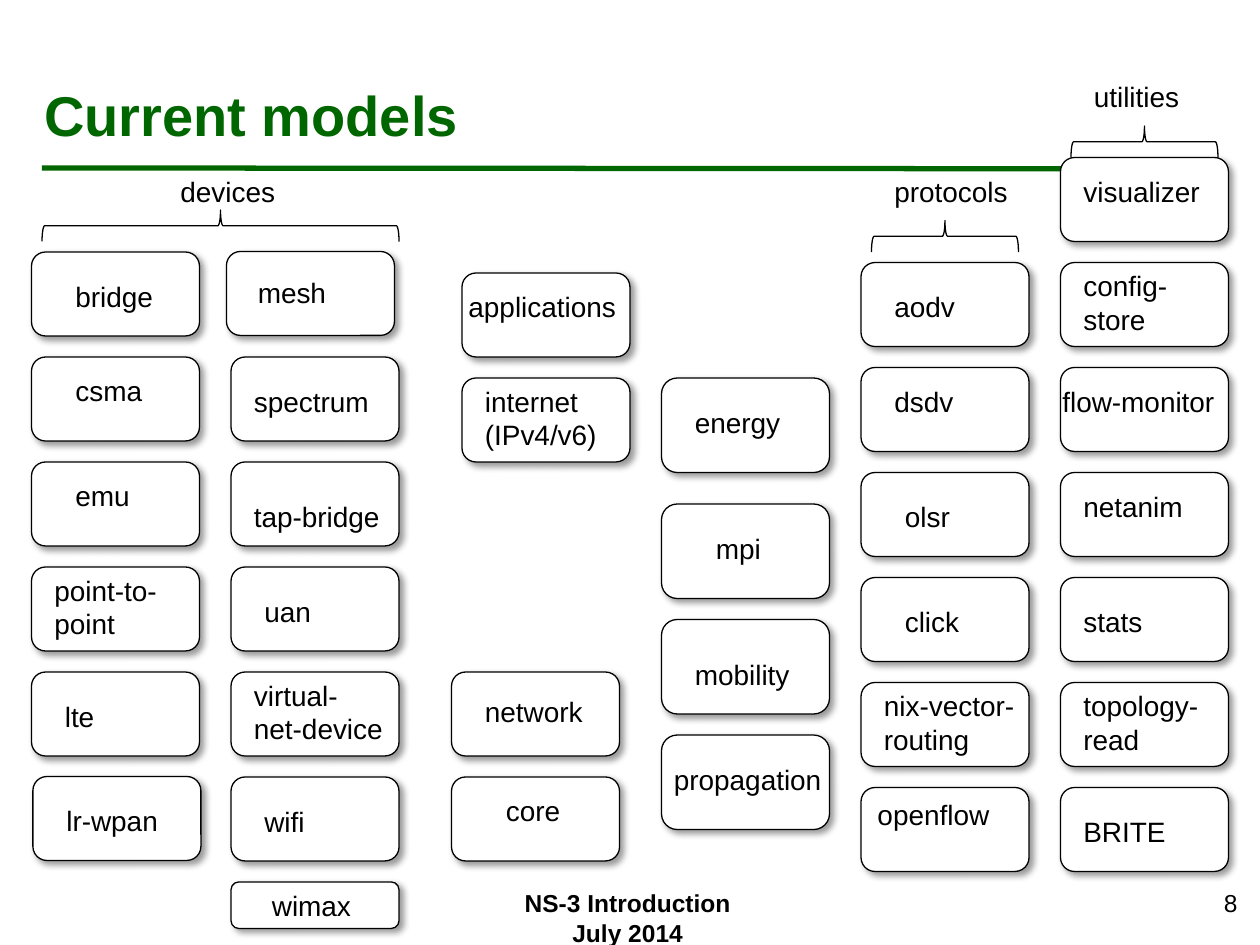
from dataclasses import dataclass

from lxml.etree import SubElement
from pptx import Presentation
from pptx.dml.color import RGBColor
from pptx.enum.shapes import MSO_CONNECTOR, MSO_SHAPE
from pptx.enum.text import MSO_ANCHOR, MSO_AUTO_SIZE, PP_ALIGN
from pptx.oxml.ns import qn
from pptx.util import Pt

COLORS = {"heading": "006600", "ink": "000000", "paper": "FFFFFF"}
FONT = "Arial"
BOX_WIDTH = 96
BRACE_DEPTH = 18
LINE_HEIGHT = 19.4


@dataclass(frozen=True)
class Model:
    """A named box; dx and dy place its label from the box's corner.

    Without a label width, the label is the box's own text.
    """
    label: str
    dx: float = 0
    dy: float = 0
    label_width: float = 0
    shift_x: float = 0
    shift_y: float = 0
    height: float = 0


@dataclass(frozen=True)
class Column:
    left: float
    top: float
    models: tuple[Model, ...]
    pitch: float = 60
    height: float = 48


@dataclass(frozen=True)
class Heading:
    label: str
    left: float
    top: float
    label_width: float
    brace_left: float
    brace_top: float
    brace_width: float


@dataclass(frozen=True)
class Family:
    columns: tuple[Column, ...]
    heading: Heading | None = None


FAMILIES = (
    Family((
        Column(258, 384, (
            Model("network", 12, 9.3, 71),
            Model("core", 24, 6, 46),
        )),
    )),
    Family((
        Column(264, 156, (
            Model("applications", -3.4, 6, 99.4),
            Model("internet\n(IPv4/v6)", 6, 0, 79),
        )),
    )),
    Family((
        Column(378, 222, (
            Model("energy", 12, 12, 69, shift_y=-6),
            Model("mpi", 24, 12, 42),
            Model("mobility", 12, 18, 69),
            Model("propagation", 0, 12, 100),
        ), pitch=66, height=54),
    )),
    Family((
        Column(492, 150, (
            Model("aodv", 12, 12, 50),
            Model("dsdv", 12, 6, 49),
            Model("olsr", 18, 12, 41),
            Model("click", 18, 12, 47),
            Model("nix-vector-\nrouting", 6, 0, 90),
            Model("openflow"),
        )),
    ), Heading("protocols", 504, 96, 80, 498, 126, 84)),
    Family((
        Column(606, 90, (
            Model("visualizer", 6, 6, 82),
            Model("config-\nstore", 6, 0, 63),
            Model("flow-monitor", -6, 6, 102),
            Model("netanim", 6, 6, 72),
            Model("stats", 6, 12, 49),
            Model("topology-\nread", 6, 0, 81),
            Model("BRITE", 6, 12, 62),
        )),
    ), Heading("utilities", 618, 42, 64, 612, 72, 84)),
    Family((
        Column(18, 144, (
            Model("bridge", 18, 12, 59),
            Model("csma", 18, 6, 53),
            Model("emu", 18, 6, 46),
            Model("point-to-\npoint", 6, 0, 74),
            Model("lte", 12, 12, 33),
            Model("lr-wpan", 12, 12, 68, shift_x=0.8, shift_y=-0.3),
        )),
        Column(132, 144, (
            Model("mesh", 10.8, 10.5, 54, shift_x=-2.6, shift_y=-0.3),
            Model("spectrum", 6, 12, 82),
            Model("tap-bridge", 6, 18, 88),
            Model("uan", 12, 12, 42),
            Model("virtual-\nnet-device", 6, 0, 90),
            Model("wifi", 12, 12, 42),
            Model("wimax", 16.3, 0, 61, height=26.6),
        )),
    ), Heading("devices", 96, 96, 69, 24, 120, 204)),
)


def color(key: str) -> RGBColor:
    return RGBColor.from_string(COLORS[key])


def write(frame, text: str, size: float = 16, bold: bool = False,
          align: PP_ALIGN = PP_ALIGN.LEFT, ink: str = "ink") -> None:
    for index, line in enumerate(text.split("\n")):
        paragraph = frame.add_paragraph() if index else frame.paragraphs[0]
        paragraph.alignment = align
        run = paragraph.add_run()
        run.text = line
        run.font.name = FONT
        run.font.size = Pt(size)
        run.font.bold = bold
        run.font.color.rgb = color(ink)


def add_outlined(shapes, preset: MSO_SHAPE, left: float, top: float,
                 width: float, height: float):
    shape = shapes.add_shape(preset, Pt(left), Pt(top), Pt(width), Pt(height))
    shape.shadow.inherit = False
    shape.fill.solid()
    shape.fill.fore_color.rgb = color("paper")
    shape.line.color.rgb = color("ink")
    shape.line.width = Pt(0.75)
    return shape


def add_soft_shadow(shape) -> None:
    effects = shape.element.spPr.find(qn("a:effectLst"))
    shadow = SubElement(effects, qn("a:outerShdw"), blurRad=str(Pt(4)),
                        dist=str(Pt(3)), dir=str(45 * 60000), rotWithShape="0")
    tint = SubElement(shadow, qn("a:srgbClr"), val=COLORS["ink"])
    SubElement(tint, qn("a:alpha"), val="40000")


def add_label(shapes, text: str, left: float, top: float, width: float) -> None:
    height = 7.2 + LINE_HEIGHT * len(text.split("\n"))
    label = shapes.add_textbox(Pt(left), Pt(top), Pt(width), Pt(height))
    label.text_frame.word_wrap = False
    label.text_frame.auto_size = MSO_AUTO_SIZE.SHAPE_TO_FIT_TEXT
    write(label.text_frame, text)


def add_column(shapes, column: Column) -> None:
    for row, model in enumerate(column.models):
        left = column.left + model.shift_x
        top = column.top + row * column.pitch + model.shift_y
        box = add_outlined(shapes, MSO_SHAPE.FLOWCHART_ALTERNATE_PROCESS, left, top,
                           BOX_WIDTH, model.height or column.height)
        add_soft_shadow(box)
        if model.label_width:
            add_label(shapes, model.label, left + model.dx, top + model.dy,
                      model.label_width)
        else:
            box.text_frame.vertical_anchor = MSO_ANCHOR.TOP
            write(box.text_frame, model.label)


def add_heading(shapes, heading: Heading) -> None:
    """Add the family's name above a brace turned to point up."""
    inset = (heading.brace_width - BRACE_DEPTH) / 2
    brace = add_outlined(shapes, MSO_SHAPE.RIGHT_BRACE, heading.brace_left + inset,
                         heading.brace_top - inset, BRACE_DEPTH, heading.brace_width)
    brace.rotation = 270
    add_label(shapes, heading.label, heading.left, heading.top, heading.label_width)


def add_footer(shapes, text: str, left: float, width: float, align: PP_ALIGN,
               bold: bool = False) -> None:
    footer = shapes.add_textbox(Pt(left), Pt(504), Pt(width), Pt(36))
    footer.text_frame.word_wrap = True
    write(footer.text_frame, text, 14, bold, align)


def main() -> None:
    deck = Presentation()
    deck.slide_width, deck.slide_height = Pt(720), Pt(540)
    slide = deck.slides.add_slide(deck.slide_layouts[5])

    rule = slide.shapes.add_connector(MSO_CONNECTOR.STRAIGHT, Pt(24), Pt(96),
                                      Pt(696), Pt(96.5))
    rule.line.color.rgb = color("heading")
    rule.line.width = Pt(3)
    SubElement(rule.element.spPr, qn("a:effectLst"))

    title = slide.shapes.title
    title.left, title.top, title.width, title.height = Pt(18), Pt(42), Pt(318), Pt(46)
    title.text_frame.auto_size = MSO_AUTO_SIZE.NONE
    title.text_frame.vertical_anchor = MSO_ANCHOR.MIDDLE
    write(title.text_frame, "Current models", 32, True, ink="heading")

    for family in FAMILIES:
        group = slide.shapes.add_group_shape()
        if family.heading:
            add_heading(group.shapes, family.heading)
        for column in family.columns:
            add_column(group.shapes, column)

    add_footer(slide.shapes, "8", 548.6, 165.6, PP_ALIGN.RIGHT)
    add_footer(slide.shapes, "NS-3 Introduction\nJuly 2014", 246, 225.4,
               PP_ALIGN.CENTER, bold=True)
    deck.save("out.pptx")


if __name__ == "__main__":
    main()
